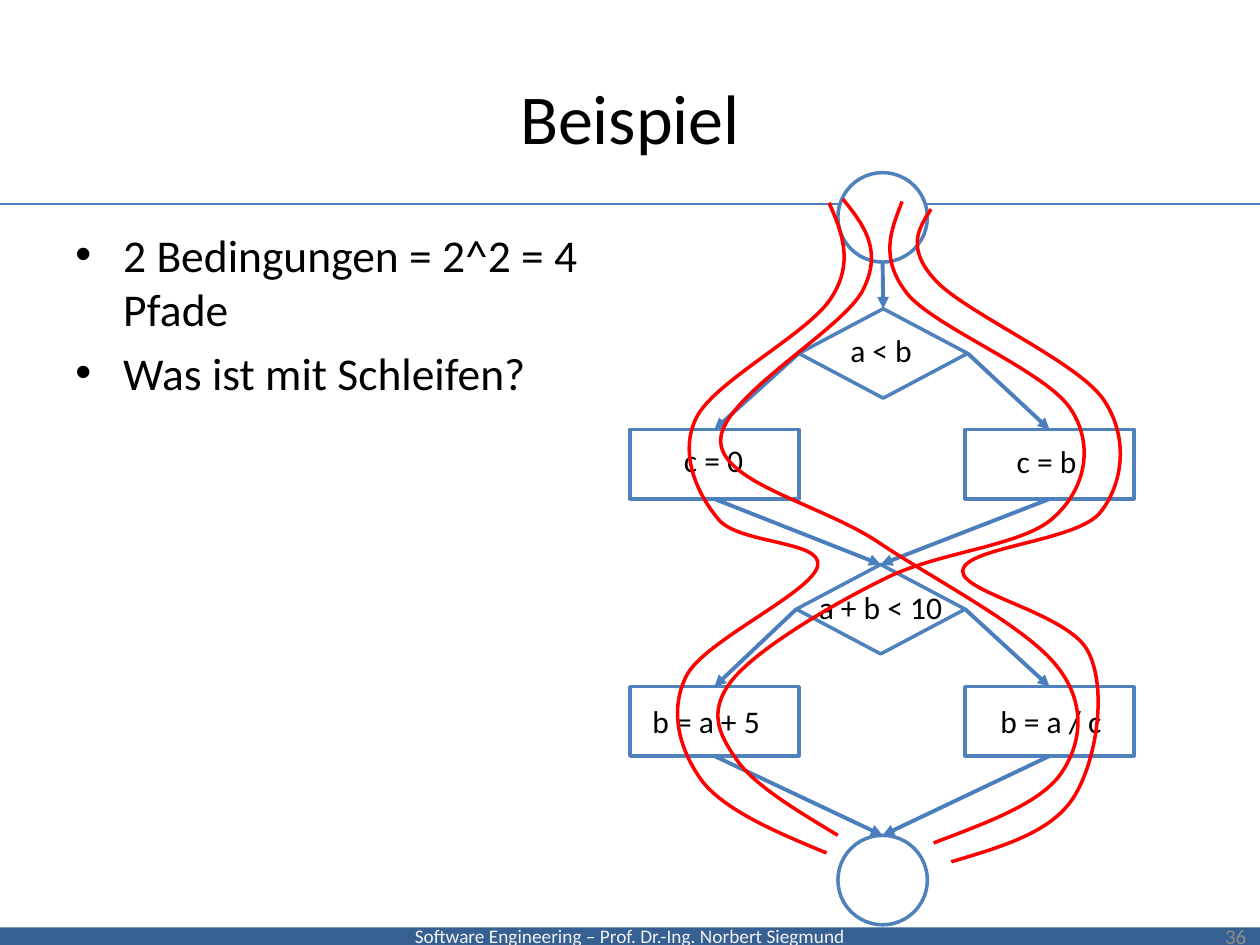
"""Build a slide with a control flow graph and its four paths."""
import pptx
import pptx.util
import pptx.dml.color
import pptx.enum.shapes
import pptx.enum.text
import pptx.oxml.ns
import lxml.etree

Inches = pptx.util.Inches
Pt = pptx.util.Pt
Shape = pptx.enum.shapes.MSO_SHAPE
Align = pptx.enum.text.PP_ALIGN
Anchor = pptx.enum.text.MSO_ANCHOR
qn = pptx.oxml.ns.qn

THEME = {
    "font": "Calibri", "mark": "Arial", "ink": "000000", "paper": "FFFFFF", "bar": "376092",
    "pale": "F2F2F2", "gray": "8C8C8C", "edge": "4F81BD", "link": "4B7EBC", "path": "FF0000",
    "title": 40, "body": 26, "label": 18, "page": 12, "foot": 11,
    "thin": 0.75, "line": 2, "arrow": 2.25,
}
TITLE = "Beispiel"
BULLETS = ["2 Bedingungen = 2^2 = 4 Pfade", "Was ist mit Schleifen?"]
FOOTER = "Software Engineering – Prof. Dr.-Ing. Norbert Siegmund"
PAGE = "36"

SIZES = {Shape.RECTANGLE: (1.34, 0.55), Shape.FLOWCHART_DECISION: (1.34, 0.71),
         Shape.FLOWCHART_CONNECTOR: (0.71, 0.71)}
NODES = {
    "start": (Shape.FLOWCHART_CONNECTOR, 6.65, 1.37),
    "test one": (Shape.FLOWCHART_DECISION, 6.34, 2.45),
    "left one": (Shape.RECTANGLE, 5, 3.41),
    "right one": (Shape.RECTANGLE, 7.66, 3.41),
    "test two": (Shape.FLOWCHART_DECISION, 6.32, 4.48),
    "left two": (Shape.RECTANGLE, 5, 5.45),
    "right two": (Shape.RECTANGLE, 7.66, 5.45),
    "end": (Shape.FLOWCHART_CONNECTOR, 6.65, 6.63),
}
LABELS = [
    ("a < b", 6.65, 2.58, 0.7), ("c = 0", 5.33, 3.45, 0.68), ("c = b", 7.97, 3.46, 0.68),
    ("a + b < 10", 6.4, 4.62, 1.2), ("b = a + 5", 5.08, 5.52, 1.07), ("b = a / c", 7.84, 5.52, 1.02),
]
LINKS = [
    ("start", "bottom", "test one"),
    ("test one", "left", "left one"), ("test one", "right", "right one"),
    ("left one", "bottom", "test two"), ("right one", "bottom", "test two"),
    ("test two", "left", "left two"), ("test two", "right", "right two"),
    ("left two", "bottom", "end"), ("right two", "bottom", "end"),
]
PATHS = [
    [(6.58, 1.61), (6.68, 1.84), (6.78, 2.08), (6.6, 2.36), (6.43, 2.64), (5.68, 3.02), (5.53, 3.31),
     (5.38, 3.6), (5.54, 3.93), (5.7, 4.12), (5.86, 4.32), (6.53, 4.29), (6.49, 4.49),
     (6.45, 4.7), (5.6, 5.08), (5.45, 5.36), (5.3, 5.65), (5.4, 5.97), (5.58, 6.21),
     (5.77, 6.44), (6.17, 6.61), (6.56, 6.77)],
    [(6.69, 1.58), (6.85, 1.78), (7.01, 1.98), (6.85, 2.3), (6.69, 2.62), (5.69, 3.17), (5.72, 3.51),
     (5.74, 3.84), (6.54, 4.01), (6.98, 4.31), (7.43, 4.61), (8.15, 4.98), (8.39, 5.29),
     (8.63, 5.59), (8.58, 5.91), (8.42, 6.14), (8.25, 6.38), (7.83, 6.53), (7.41, 6.69)],
    [(7.16, 1.6), (7.07, 1.83), (6.98, 2.05), (7.2, 2.33), (7.42, 2.6), (8.31, 2.95), (8.5, 3.25),
     (8.69, 3.54), (8.61, 3.89), (8.36, 4.11), (8.11, 4.34), (7.43, 4.38), (7.01, 4.6),
     (6.58, 4.81), (6, 5.16), (5.81, 5.4), (5.62, 5.64), (5.7, 5.82), (5.84, 6.02),
     (5.98, 6.23), (6.32, 6.43), (6.65, 6.63)],
    [(7.39, 1.66), (7.29, 1.81), (7.19, 1.97), (7.42, 2.22), (7.64, 2.47), (8.53, 2.86), (8.75, 3.16),
     (8.97, 3.47), (8.91, 3.85), (8.73, 4.07), (8.54, 4.3), (7.66, 4.34), (7.64, 4.53),
     (7.63, 4.71), (8.5, 4.87), (8.64, 5.18), (8.79, 5.48), (8.7, 6.05), (8.52, 6.33),
     (8.34, 6.61), (7.95, 6.72), (7.55, 6.84)],
]


def tint(name):
    return pptx.dml.color.RGBColor.from_string(THEME[name])


def style(par, size, ink="ink", align=Align.LEFT):
    par.alignment = align
    par.font.name = THEME["font"]
    par.font.size = Pt(THEME[size])
    par.font.color.rgb = tint(ink)


def stroke(item, ink, width):
    item.line.color.rgb = tint(ink)
    item.line.width = Pt(THEME[width])


def add_text(slide, text, box, size, ink="ink", align=Align.LEFT, anchor=Anchor.TOP, wrap=True):
    frame = slide.shapes.add_textbox(*map(Inches, box)).text_frame
    frame.word_wrap = wrap
    frame.vertical_anchor = anchor
    frame.text = text
    for par in frame.paragraphs:
        style(par, size, ink, align)
    return frame


def add_line(slide, start, end, width, arrow=False):
    line = slide.shapes.add_connector(pptx.enum.shapes.MSO_CONNECTOR.STRAIGHT,
                                      *map(Inches, (*start, *end)))
    stroke(line, "link", width)
    if arrow:
        lxml.etree.SubElement(line.line._get_or_add_ln(), qn("a:tailEnd"), type="triangle")
    lxml.etree.SubElement(line._element.spPr, qn("a:effectLst"))


def add_shape(slide, kind, box, fill):
    shape = slide.shapes.add_shape(kind, *map(Inches, box))
    shape.shadow.inherit = False
    shape.fill.solid()
    shape.fill.fore_color.rgb = tint(fill)
    return shape


def port(name, side):
    kind, left, top = NODES[name]
    width, height = SIZES[kind]
    across, down = {"top": (0.5, 0), "bottom": (0.5, 1), "left": (0, 0.5), "right": (1, 0.5)}[side]
    return left + across * width, top + down * height


def trace(knots, steps=16):
    points = [knots[0]]
    for i in range(0, len(knots) - 1, 3):
        for step in range(1, steps + 1):
            t = step / steps
            parts = ((1 - t) ** 3, 3 * t * (1 - t) ** 2, 3 * t ** 2 * (1 - t), t ** 3)
            points.append(tuple(sum(p * k[axis] for p, k in zip(parts, knots[i:i + 4]))
                                for axis in (0, 1)))
    return points


def add_path(slide, knots):
    points = [(Inches(x), Inches(y)) for x, y in trace(knots)]
    pen = slide.shapes.build_freeform(*points[0])
    pen.add_line_segments(points[1:], close=False)
    curve = pen.convert_to_shape()
    curve.shadow.inherit = False
    curve.fill.background()
    stroke(curve, "path", "line")
    route = curve._element.find(".//" + qn("a:path"))
    for leg in list(route)[1:]:
        route.remove(leg)
    for i in range(1, len(knots), 3):
        bend = lxml.etree.SubElement(route, qn("a:cubicBezTo"))
        for x, y in knots[i:i + 3]:
            lxml.etree.SubElement(bend, qn("a:pt"), x=str(Inches(x) - curve.left),
                                  y=str(Inches(y) - curve.top))


def add_frame(slide):
    bar = add_shape(slide, Shape.RECTANGLE, (0, 7.36, 10, 0.14), "bar")
    bar.line.fill.background()
    bar.text_frame.text = FOOTER
    bar.text_frame.vertical_anchor = Anchor.MIDDLE
    style(bar.text_frame.paragraphs[0], "foot", "pale", Align.CENTER)
    add_line(slide, (0, 1.62), (10.04, 1.62), "thin")
    add_text(slide, PAGE, (7.66, 7.23, 2.33, 0.4), "page", "gray", Align.RIGHT, Anchor.MIDDLE)

    title = slide.shapes.title
    title.left, title.top, title.width, title.height = map(Inches, (0.5, 0.3, 9, 1.25))
    title.text_frame.text = TITLE
    title.text_frame.vertical_anchor = Anchor.MIDDLE
    style(title.text_frame.paragraphs[0], "title", align=Align.CENTER)


def add_list(slide):
    frame = add_text(slide, "\n".join(BULLETS), (0.5, 1.75, 4.97, 5.61), "body")
    for i, par in enumerate(frame.paragraphs):
        par.space_before = Pt(0.2 * THEME["body"] if i else 0)
        props = par._p.get_or_add_pPr()
        props.set("marL", str(Inches(0.38)))
        props.set("indent", str(-Inches(0.38)))
        font = props.find(qn("a:defRPr"))
        font.addprevious(lxml.etree.Element(qn("a:buFont"), typeface=THEME["mark"]))
        font.addprevious(lxml.etree.Element(qn("a:buChar"), char="•"))


def add_graph(slide):
    for kind, left, top in NODES.values():
        stroke(add_shape(slide, kind, (left, top, *SIZES[kind]), "paper"), "edge", "line")
    for start, side, end in LINKS:
        add_line(slide, port(start, side), port(end, "top"), "arrow", True)
    for text, left, top, width in LABELS:
        add_text(slide, text, (left, top, width, 0.4), "label", wrap=False)
    for knots in PATHS:
        add_path(slide, knots)


def main():
    deck = pptx.Presentation()
    deck.slide_width, deck.slide_height = Inches(10), Inches(7.5)
    slide = deck.slides.add_slide(deck.slide_layouts[5])
    add_frame(slide)
    add_list(slide)
    add_graph(slide)
    deck.save("out.pptx")


if __name__ == "__main__":
    main()
